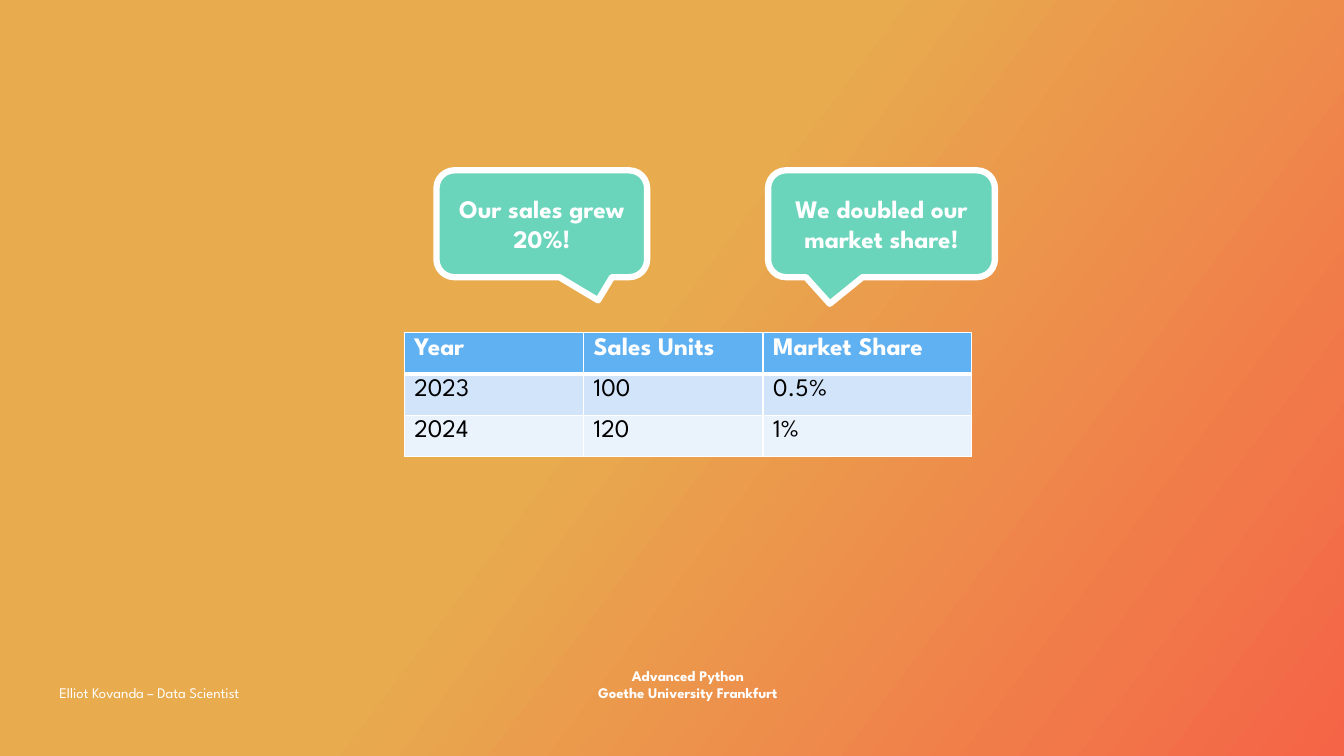
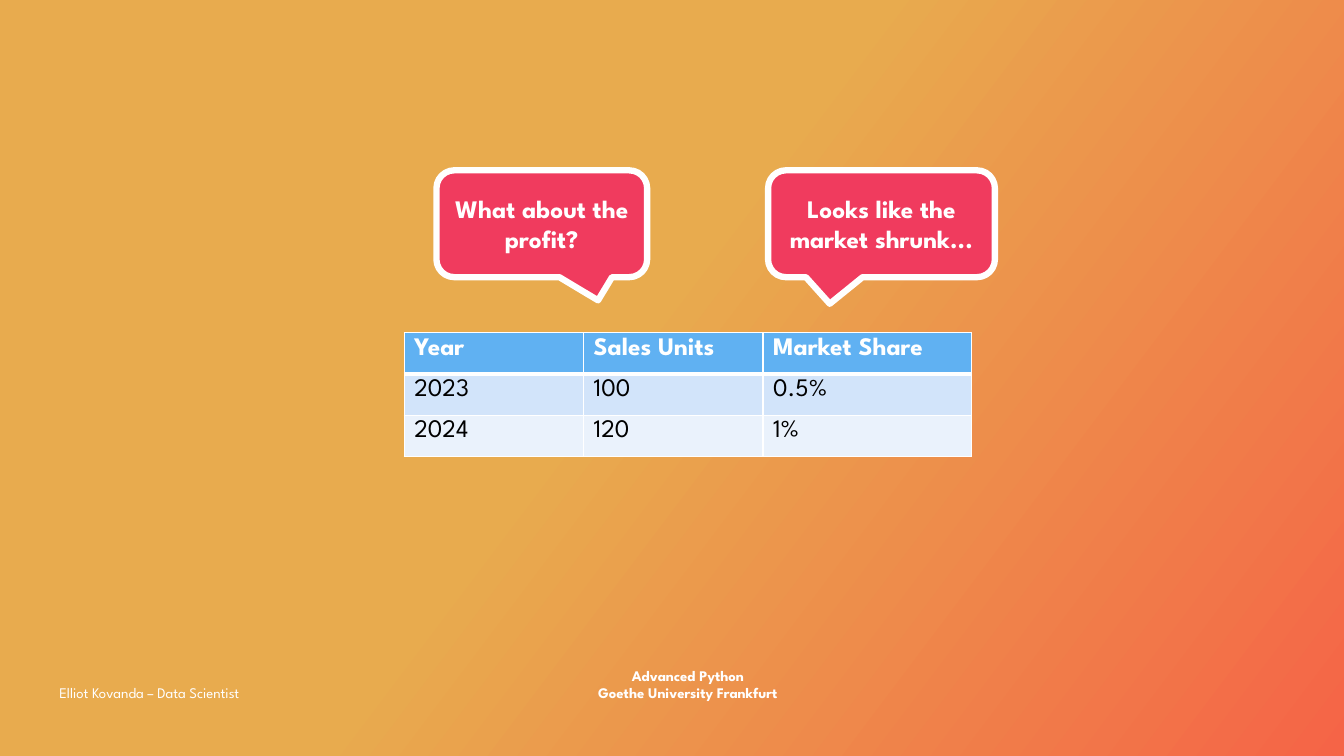
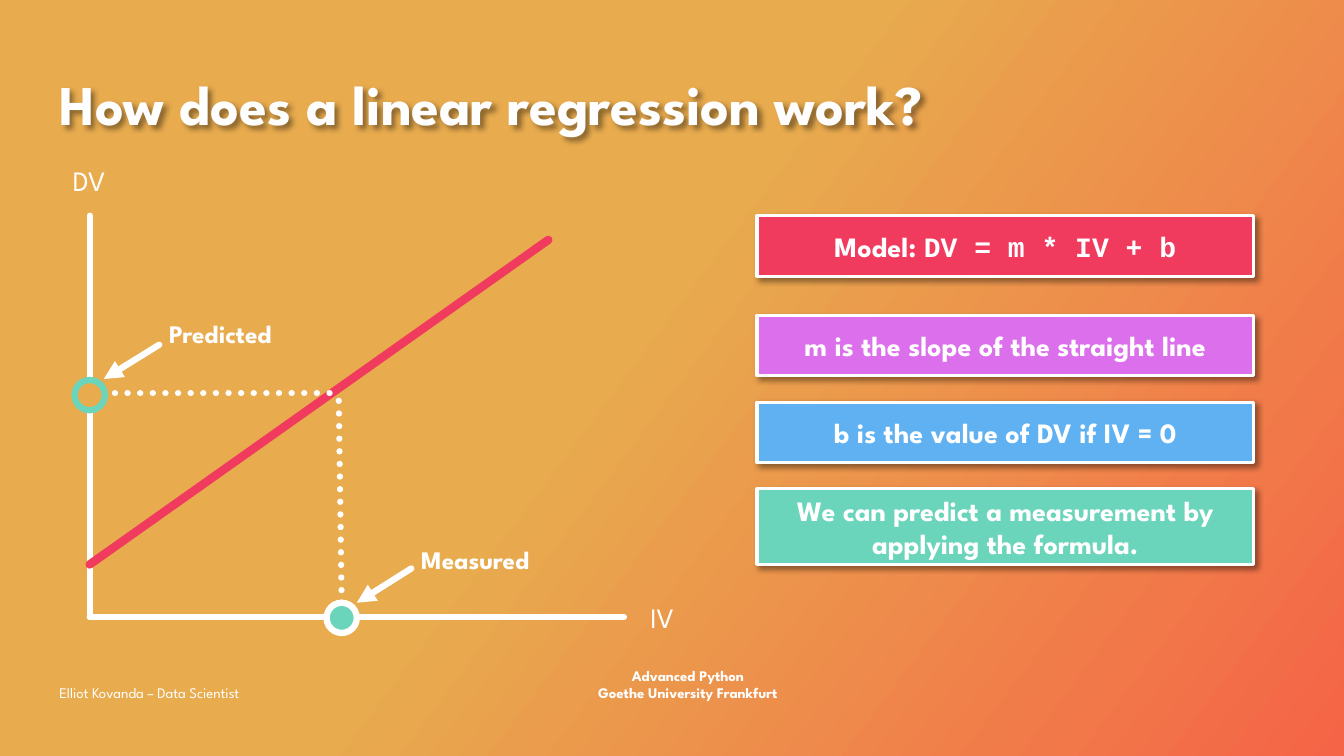
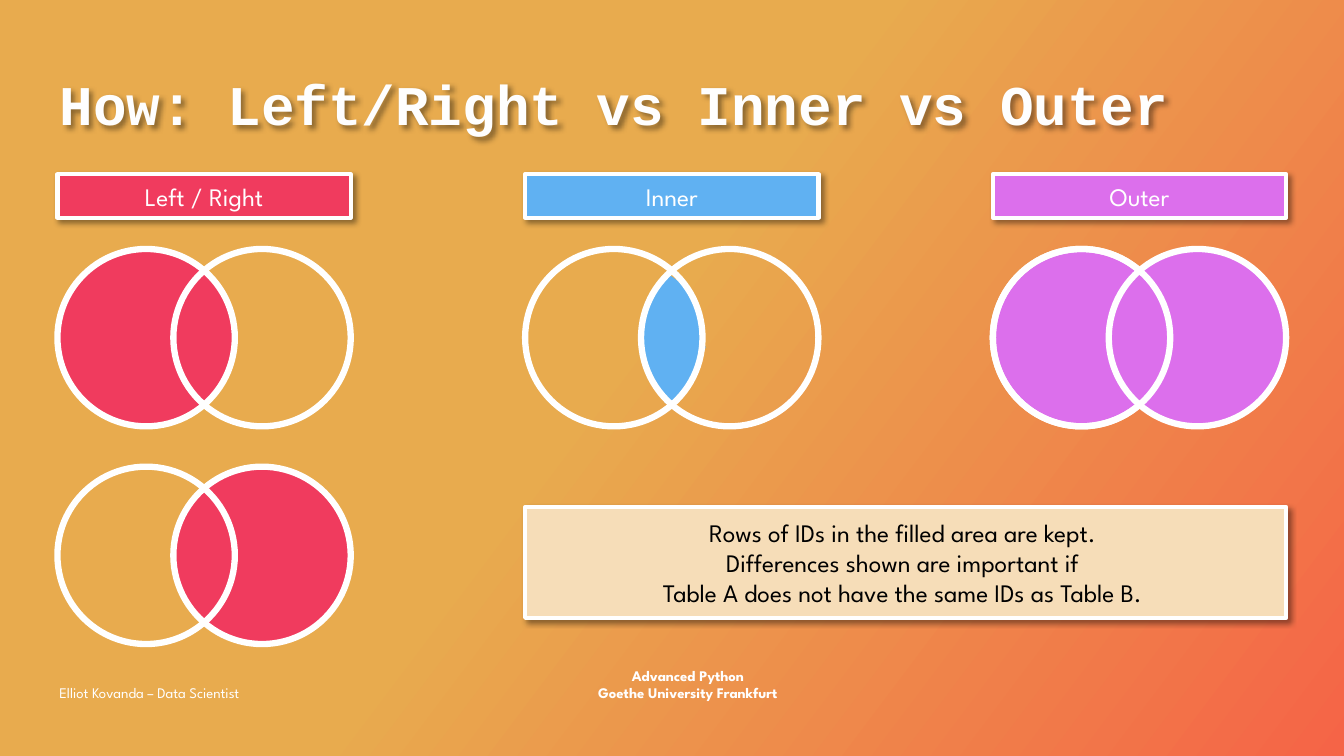
from copy import deepcopy

from pptx import Presentation
from pptx import util as u
from pptx.dml.color import RGBColor
from pptx.enum import dml, shapes, text
from pptx.oxml import parse_xml
from pptx.oxml.ns import nsdecls, qn

PX = 9144  # one px is a hundredth of an inch
FONT, MONO = "League Spartan", "Courier New"
HEX = {
    "white": "FFFFFF", "title": "FEFEFE", "black": "000000",
    "sand": "E8AB4E", "coral": "F56447", "cream": "F6DDB8",
    "red": "F03B5E", "blue": "60B1F2", "pink": "DC6FEC", "green": "6AD5BB",
    "odd": "D2E4FA", "even": "EAF2FC",
}
STOPS = [(0, "sand"), (0.46, "sand"), (1, "coral")]
COURSE = "Advanced Python\vGoethe University Frankfurt"
AUTHOR = "Elliot Kovanda – Data Scientist"
LEFT, MID = text.PP_ALIGN.LEFT, text.PP_ALIGN.CENTER
TOP, CENTRE, BASE = (text.MSO_ANCHOR.TOP, text.MSO_ANCHOR.MIDDLE,
                     text.MSO_ANCHOR.BOTTOM)
KIND = shapes.MSO_SHAPE

# Slides 1 and 2: sales table with two remarks
ROWS = [("Year", "Sales Units", "Market Share"),
        ("2023", "100", "0.5%"),
        ("2024", "120", "1%")]
COLS = [178, 178, 207]
BUBBLES = [((433, 169, 209, 106), (0.267, 0.717, 0.167)),
           ((762, 169, 225, 106), (-0.228, 0.749, 0.167))]
REMARKS = [
    ("green", ["Our sales grew 20%!", "We doubled our market share!"]),
    ("red", ["What about the profit?", "Looks like the market shrunk..."]),
]

# Slide 3: regression plot; lines run x1, y1, x2, y2
AXES = [(89, 214, 89, 612), (619, 612, 89, 612)]
TREND = (89, 560, 544, 238)
GUIDES = [(339, 598, 336, 389), (89, 390, 336, 390)]
ARROWS = [(408, 564, 354, 598), (158, 342, 103, 376)]
DOTS = [(324, 598, "green", "white"), (74, 377, "sand", "green")]
NAMES = [("IV", (634, 591, 46, 44)), ("DV", (58, 157, 61, 44))]
MARKS = [("Measured", (408, 535, 150, 40)), ("Predicted", (158, 311, 186, 40))]
FACTS = [
    (214, 60, "red", [("Model: ", FONT), ("DV = m * IV + b", MONO)]),
    (313, 60, "pink", "m is the slope of the straight line"),
    (399, 60, "blue", "b is the value of DV if IV = 0"),
    (485, 75, "green", "We can predict a measurement by applying the formula."),
]

# Slide 4: joins as circle pairs; sides are 0 left, 1 right
JOINS = [("Left / Right", "red"), ("Inner", "blue"), ("Outer", "pink")]
PAIRS = [  # column, row, filled sides, outlined sides
    (0, 0, [0], [1]), (0, 1, [1], [0]), (1, 0, [], [0, 1]), (2, 0, [0, 1], [0])]
LENS = [(662, 271), (636, 315), (638, 364), (660, 400),
        (677, 395), (700, 345), (688, 290)]
NOTE = ["Rows of IDs in the filled area are kept. \v"
        "Differences shown are important if ",
        "Table A does not have the same IDs as Table B. "]


def rgb(name):
    return RGBColor.from_string(HEX[name])


def emu(*px):
    return [u.Emu(n * PX) for n in px]


def write(frame, paras, size, colour="white", bold=False, font=FONT,
          align=LEFT, anchor=TOP):
    """Fill a text frame; a paragraph is a string or (text, font) runs."""
    frame.vertical_anchor = anchor
    for i, para in enumerate(paras):
        p = frame.paragraphs[0] if i == 0 else frame.add_paragraph()
        p.alignment = align
        if isinstance(para, str):
            p.text = para
            p.font.name = font
        else:
            for words, face in para:
                run = p.add_run()
                run.text, run.font.name = words, face
        p.font.size, p.font.bold = u.Pt(size), bold
        p.font.color.rgb = rgb(colour)


def cast(shape):
    """Give a shape the shared soft shadow."""
    shape.shadow.inherit = False
    fx = shape.element.spPr.find(qn("a:effectLst"))
    fx.append(parse_xml(
        f'<a:outerShdw {nsdecls("a")} blurRad="{u.Pt(4)}" dist="{u.Pt(3)}" '
        'dir="2700000" algn="tl" rotWithShape="0"><a:srgbClr val="000000">'
        '<a:alpha val="40000"/></a:srgbClr></a:outerShdw>'))


def label(slide, box, words, size, wrap=True, **style):
    area = slide.shapes.add_textbox(*emu(*box))
    area.text_frame.word_wrap = wrap
    if not wrap:
        area.text_frame.auto_size = text.MSO_AUTO_SIZE.SHAPE_TO_FIT_TEXT
    write(area.text_frame, [words], size, **style)
    return area


def draw(slide, kind, box, fill=None, edge="white", width=4.5):
    shape = slide.shapes.add_shape(kind, *emu(*box))
    shape.shadow.inherit = False
    if fill:
        shape.fill.solid()
        shape.fill.fore_color.rgb = rgb(fill)
    else:
        shape.fill.background()
    shape.line.color.rgb, shape.line.width = rgb(edge), u.Pt(width)
    return shape


def card(slide, box, fill, paras, size, width, **style):
    shape = draw(slide, KIND.RECTANGLE, box, fill, width=width)
    cast(shape)
    write(shape.text_frame, paras, size, align=MID, anchor=CENTRE, **style)
    shape.text_frame.word_wrap = True


def stroke(slide, ends, colour="white", width=4.5, dots=False, arrow=False):
    line = slide.shapes.add_connector(shapes.MSO_CONNECTOR.STRAIGHT, *emu(*ends))
    line.line.color.rgb, line.line.width = rgb(colour), u.Pt(width)
    if dots:
        line.line.dash_style = dml.MSO_LINE.ROUND_DOT
    props = line.element.spPr
    pen = props.find(qn("a:ln"))
    pen.set("cap", "rnd")
    if arrow:
        pen.append(parse_xml(f'<a:tailEnd {nsdecls("a")} type="triangle"/>'))
    props.append(parse_xml(f'<a:effectLst {nsdecls("a")}/>'))


def rule(cell, widths):
    """Add white borders to a cell: left, right, top, bottom in points."""
    props = cell._tc.get_or_add_tcPr()
    for side, width in zip("LRTB", widths):
        props.append(parse_xml(
            f'<a:ln{side} {nsdecls("a")} w="{u.Pt(width)}"><a:solidFill>'
            f'<a:srgbClr val="{HEX["white"]}"/></a:solidFill></a:ln{side}>'))


def paint(master):
    """Set the gradient that lies behind every slide."""
    fill = master.background.fill
    fill.gradient()
    fill.gradient_angle = 323
    stops = master.element.xpath(".//p:bg//a:gsLst")[0]
    stops.insert(1, deepcopy(stops[0]))
    for stop, (place, colour) in zip(fill.gradient_stops, STOPS):
        stop.position, stop.color.rgb = place, rgb(colour)


def start(prs, title=None, font=FONT):
    """Add a slide with its author line and, if given, a title."""
    slide = prs.slides.add_slide(prs.slide_layouts[5 if title else 6])
    if title:
        head = slide.shapes.title
        head.left, head.top, head.width, head.height = emu(49, 49, 1156, 106)
        head.text_frame.auto_size = text.MSO_AUTO_SIZE.NONE
        write(head.text_frame, [title], 40, "title", True, font, anchor=CENTRE)
        cast(head)
    label(slide, (49, 661, 245, 40), AUTHOR, 10.5, anchor=BASE)
    return slide


def sales(prs, colour, remarks):
    slide = start(prs)
    frame = slide.shapes.add_table(len(ROWS), len(COLS),
                                   *emu(401, 330, sum(COLS), 123))
    table = frame.table
    for col, width in zip(table.columns, emu(*COLS)):
        col.width = width
    for r, row in enumerate(ROWS):
        table.rows[r].height = u.Emu(41 * PX)
        for c, words in enumerate(row):
            cell = table.cell(r, c)
            rule(cell, (1, 1, 3 if r == 1 else 1, 3 if r == 0 else 1))
            cell.fill.solid()
            cell.fill.fore_color.rgb = rgb(("blue", "odd", "even")[r])
            write(cell.text_frame, [words], 18, "black" if r else "white", r == 0)
    for (box, bends), words in zip(BUBBLES, remarks):
        bubble = draw(slide, KIND.ROUNDED_RECTANGULAR_CALLOUT, box, colour)
        for i, bend in enumerate(bends):
            bubble.adjustments[i] = bend
        write(bubble.text_frame, [words], 18, bold=True, align=MID, anchor=CENTRE)
    return slide


def regress(prs):
    slide = start(prs, "How does a linear regression work?")
    # Axes and fitted line
    stroke(slide, AXES[0])
    stroke(slide, TREND, "red", 6)
    stroke(slide, AXES[1])
    for words, box in NAMES:
        label(slide, box, words, 20, wrap=False, align=MID)
    # Explanations
    for top, high, fill, words in FACTS:
        card(slide, (751, top, 493, high), fill, [words], 20, 2.25, bold=True)
    # Measured and predicted points
    for guide, (x, y, fill, edge) in zip(GUIDES, DOTS):
        stroke(slide, guide, dots=True)
        draw(slide, KIND.OVAL, (x, y, 30, 30), fill, edge)
    for (words, box), arrow in zip(MARKS, ARROWS):
        label(slide, box, words, 18, wrap=False, bold=True)
        stroke(slide, arrow, arrow=True)


def joins(prs):
    slide = start(prs, "How: Left/Right vs Inner vs Outer", MONO)
    x0, step, size, shift = 57, 464, 176, 115
    # Shared area of the inner join
    path = slide.shapes.build_freeform(*LENS[0], scale=PX)
    path.add_line_segments(LENS[1:], close=True)
    lens = path.convert_to_shape()
    lens.shadow.inherit = False
    lens.fill.solid()
    lens.fill.fore_color.rgb = rgb("blue")
    lens.line.fill.background()
    # Circle pairs
    for col, row, full, rings in PAIRS:
        for side, fill in ([(s, JOINS[col][1]) for s in full]
                           + [(s, None) for s in rings]):
            box = (x0 + col * step + side * shift, 247 + row * 216, size, size)
            draw(slide, KIND.OVAL, box, fill)
    # Headings and note
    for i, (words, fill) in enumerate(JOINS):
        card(slide, (x0 + i * step, 173, size + shift, 43), fill, [words], 18, 3)
    card(slide, (x0 + step, 503, step + size + shift, 110), "cream", NOTE, 18, 3,
         colour="black")


def main():
    prs = Presentation()
    prs.slide_height = u.Emu(750 * PX)
    prs.slide_width = u.Emu(750 * PX * 16 // 9)
    master = prs.slide_master
    paint(master)
    made = [sales(prs, *remark) for remark in REMARKS]
    # The course line belongs to the master, so every slide shows it
    course = label(made[0], (560, 661, 245, 40), COURSE, 10.5, bold=True,
                   align=MID, anchor=BASE)
    master.shapes._spTree.append(course.element)
    regress(prs)
    joins(prs)
    prs.save("out.pptx")


if __name__ == "__main__":
    main()
